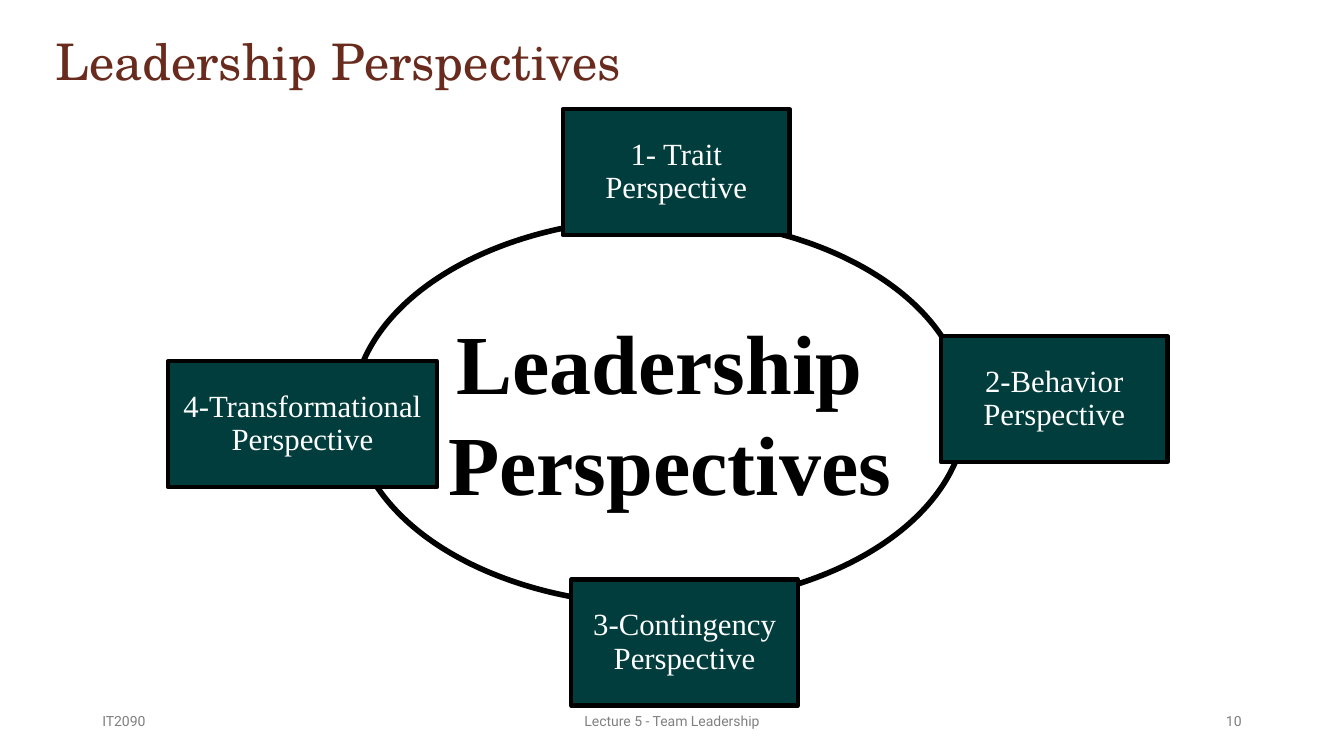
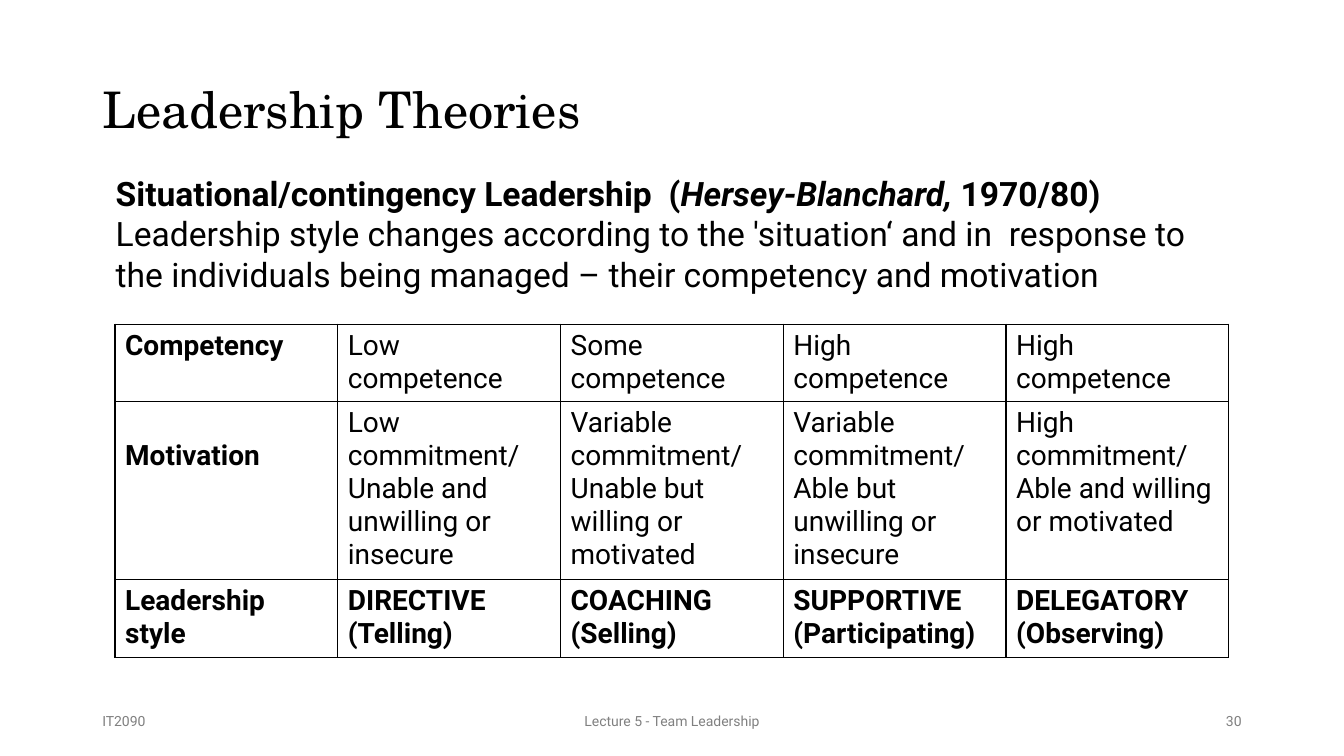
from lxml import etree
from pptx import Presentation
from pptx.dml.color import RGBColor
from pptx.enum.shapes import MSO_SHAPE as Shape
from pptx.enum.text import MSO_ANCHOR as Anchor, MSO_AUTO_SIZE as AutoSize, PP_ALIGN as Align
from pptx.oxml.ns import qn
from pptx.util import Inches, Pt

COLORS = {name: RGBColor.from_string(value) for name, value in {
    "ink": "000000", "paper": "FFFFFF", "teal": "003D3C",
    "brown": "692B1D", "grey": "808080"}.items()}
SERIF, SANS, DISPLAY = "Times New Roman", "Roboto", "TeX Gyre Schola"
COLUMNS, ROWS = 160, 90

presentation = Presentation()
presentation.slide_width, presentation.slide_height = Inches(40 / 3), Inches(7.5)


def area(column, row, columns, rows):
    cell_width = presentation.slide_width / COLUMNS
    cell_height = presentation.slide_height / ROWS
    return [round(n) for n in (column * cell_width, row * cell_height,
                               columns * cell_width, rows * cell_height)]


def write(frame, lines, font, size, color, bold=False, align=Align.LEFT, spacing=1.0):
    for index, line in enumerate(lines):
        paragraph = frame.paragraphs[0] if index == 0 else frame.add_paragraph()
        paragraph.text = line
        paragraph.alignment, paragraph.line_spacing = align, spacing
        paragraph.font.name, paragraph.font.size = font, Pt(size)
        paragraph.font.bold, paragraph.font.color.rgb = bold, COLORS[color]


slides = []
for heading, color, place, number in [
        ("Leadership Perspectives", "brown", (5.4, 0.7, 108, 14), "10"),
        ("Leadership Theories", "ink", (11, 9.2, 138, 8.4), "30")]:
    slide = presentation.slides.add_slide(presentation.slide_layouts[5])
    slides.append(slide)
    title = slide.shapes.title
    title.left, title.top, title.width, title.height = area(*place)
    title.text_frame.auto_size = AutoSize.NONE
    title.text_frame.vertical_anchor = Anchor.MIDDLE
    write(title.text_frame, [heading], DISPLAY, 36, color, spacing=0.9)
    for text, column, columns, align in [
            ("IT2090", 11, 36, Align.LEFT),
            ("Lecture 5 - Team Leadership", 53, 54, Align.CENTER),
            (number, 113, 36, Align.RIGHT)]:
        footer = slide.shapes.add_textbox(*area(column, 83.4, columns, 4.8)).text_frame
        footer.word_wrap = True
        footer.vertical_anchor = Anchor.MIDDLE
        write(footer, [text], SANS, 10, "grey", align=align)

perspectives, theories = slides

for kind, place, fill, width, lines, size, color, bold, spacing in [
        (Shape.OVAL, (42, 26, 73, 46), None, 4,
         ["Leadership", " Perspectives"], 60, "ink", True, 1.0),
        *[(Shape.RECTANGLE, (column, row, columns, 15), "teal", 3,
           [name, "Perspective"], 22, "paper", False, 0.9)
          for name, column, row, columns in [
              ("1- Trait", 67, 13, 27),
              ("2-Behavior", 112, 40, 27),
              ("3-Contingency", 68, 69, 27),
              ("4-Transformational", 20, 43, 32)]]]:
    shape = perspectives.shapes.add_shape(kind, *area(*place))
    shape.shadow.inherit = False
    if fill:
        shape.fill.solid()
        shape.fill.fore_color.rgb = COLORS[fill]
    else:
        shape.fill.background()
    shape.line.color.rgb, shape.line.width = COLORS["ink"], Pt(width)
    shape.text_frame.word_wrap = False
    shape.text_frame.vertical_anchor = Anchor.MIDDLE
    write(shape.text_frame, lines, SERIF, size, color, bold, Align.CENTER, spacing)

summary = theories.shapes.add_textbox(*area(12.6, 20, 134.9, 15.7)).text_frame
summary.word_wrap = True
write(summary, ["", "Leadership style changes according to the 'situation‘ and in  response to "
                "the individuals being managed – their competency and motivation"],
      SANS, 24, "ink")
theory = summary.paragraphs[0]
theory.font.bold = True
for text, italic in [("Situational/contingency Leadership  (", False),
                     ("Hersey-Blanchard, ", True), ("1970/80)", False)]:
    run = theory.add_run()
    run.text = text
    run.font.name, run.font.size = SANS, Pt(24)
    run.font.bold, run.font.italic = True, italic
    run.font.color.rgb = COLORS["ink"]

styles = [
    [["Competency"], ["Low competence"], ["Some competence"],
     ["High competence"], ["High competence"]],
    [["Motivation"],
     ["Low commitment/", "Unable and unwilling or insecure"],
     ["Variable commitment/", "Unable but willing or motivated"],
     ["Variable commitment/ Able but unwilling or insecure"],
     ["High commitment/", "Able and willing or motivated"]],
    [["Leadership style"], ["DIRECTIVE", "(Telling)"], ["COACHING", "(Selling)"],
     ["SUPPORTIVE", "(Participating)"], ["DELEGATORY", "(Observing)"]]]
table = theories.shapes.add_table(
    len(styles), len(styles[0]), *area(13.7, 38.6, 132.6, 39)).table
table.first_row = table.horz_banding = False
for row, height in zip(table.rows, (9, 21, 9)):
    row.height = area(0, 0, 0, height)[3]
for row, entries in enumerate(styles):
    for column, lines in enumerate(entries):
        cell = table.cell(row, column)
        cell.fill.background()
        write(cell.text_frame, lines, SANS, 20, "ink", bold=column == 0 or row == 2)
        properties = cell._tc.get_or_add_tcPr()
        for index, side in enumerate(("lnL", "lnR", "lnT", "lnB")):
            border = etree.Element(qn(f"a:{side}"), w=str(Pt(1)))
            solid = etree.SubElement(border, qn("a:solidFill"))
            etree.SubElement(solid, qn("a:srgbClr"), val=str(COLORS["ink"]))
            properties.insert(index, border)
table.cell(1, 0).margin_top = Inches(0.38)

presentation.save("out.pptx")
